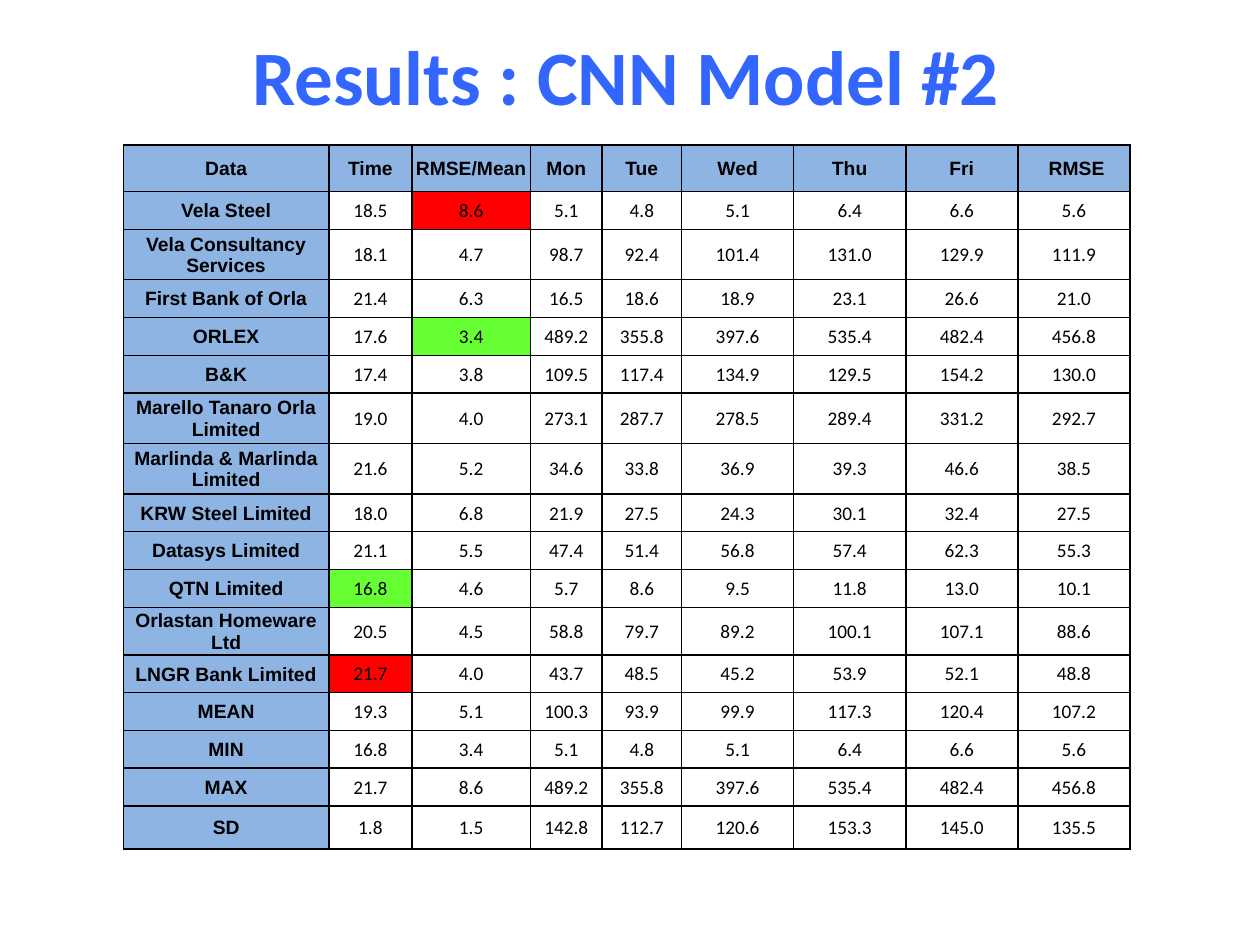
from lxml import etree
from pptx import Presentation
from pptx.dml.color import RGBColor
from pptx.enum.text import MSO_ANCHOR, PP_ALIGN
from pptx.oxml.ns import qn
from pptx.util import Inches, Pt

CENTER = PP_ALIGN.CENTER
MIDDLE = MSO_ANCHOR.MIDDLE
BLACK = RGBColor(0x00, 0x00, 0x00)
TITLE_BLUE = RGBColor(0x33, 0x66, 0xFF)
LABEL_BLUE = RGBColor(0x8E, 0xB4, 0xE3)
WORST_RED = RGBColor(0xFF, 0x00, 0x00)
BEST_GREEN = RGBColor(0x66, 0xFF, 0x33)

TITLE = "Results : CNN Model #2"
HEADER = ["Data", "Time", "RMSE/Mean", "Mon", "Tue", "Wed", "Thu", "Fri", " RMSE"]
STOCKS = [
    ("Vela Steel", 18.5, 8.6, 5.1, 4.8, 5.1, 6.4, 6.6, 5.6),
    ("Vela Consultancy Services", 18.1, 4.7, 98.7, 92.4, 101.4, 131.0, 129.9, 111.9),
    ("First Bank of Orla", 21.4, 6.3, 16.5, 18.6, 18.9, 23.1, 26.6, 21.0),
    ("ORLEX", 17.6, 3.4, 489.2, 355.8, 397.6, 535.4, 482.4, 456.8),
    ("B&K", 17.4, 3.8, 109.5, 117.4, 134.9, 129.5, 154.2, 130.0),
    ("Marello Tanaro Orla Limited", 19.0, 4.0, 273.1, 287.7, 278.5, 289.4, 331.2, 292.7),
    ("Marlinda & Marlinda Limited", 21.6, 5.2, 34.6, 33.8, 36.9, 39.3, 46.6, 38.5),
    ("KRW Steel Limited", 18.0, 6.8, 21.9, 27.5, 24.3, 30.1, 32.4, 27.5),
    ("Datasys Limited", 21.1, 5.5, 47.4, 51.4, 56.8, 57.4, 62.3, 55.3),
    ("QTN Limited", 16.8, 4.6, 5.7, 8.6, 9.5, 11.8, 13.0, 10.1),
    ("Orlastan Homeware Ltd", 20.5, 4.5, 58.8, 79.7, 89.2, 100.1, 107.1, 88.6),
    ("LNGR Bank Limited", 21.7, 4.0, 43.7, 48.5, 45.2, 53.9, 52.1, 48.8),
]
SUMMARY = [
    ("MEAN", 19.3, 5.1, 100.3, 93.9, 99.9, 117.3, 120.4, 107.2),
    ("MIN", 16.8, 3.4, 5.1, 4.8, 5.1, 6.4, 6.6, 5.6),
    ("MAX", 21.7, 8.6, 489.2, 355.8, 397.6, 535.4, 482.4, 456.8),
    ("SD", 1.8, 1.5, 142.8, 112.7, 120.6, 153.3, 145.0, 135.5),
]
RANKED_COLS = (1, 2)
COL_WIDTHS = [1.63, 0.66, 0.94, 0.57, 0.63] + [0.89] * 4
ROW_HEIGHT = 0.3
SPECIAL_HEIGHTS = {0: 0.37, 2: 0.4, 6: 0.4, 7: 0.4, 11: 0.36, 16: 0.34}


def write(tf, text, size=11, font="Calibri", color=BLACK, bold=False):
    p = tf.paragraphs[0]
    p.alignment = CENTER
    r = p.add_run()
    r.text = text
    r.font.size = Pt(size)
    r.font.name = font
    r.font.color.rgb = color
    r.font.bold = bold


def add_borders(cell):
    tc_pr = cell._tc.get_or_add_tcPr()
    for i, side in enumerate(("lnL", "lnR", "lnT", "lnB")):
        ln = etree.Element(qn(f"a:{side}"), w=str(Pt(1)))
        fill = etree.SubElement(ln, qn("a:solidFill"))
        etree.SubElement(fill, qn("a:srgbClr"), val=str(BLACK))
        tc_pr.insert(i, ln)


def cell_color(row, col):
    if row == 0 or col == 0:
        return LABEL_BLUE
    if col in RANKED_COLS and row <= len(STOCKS):
        values = [stock[col] for stock in STOCKS]
        return {max(values): WORST_RED, min(values): BEST_GREEN}.get(values[row - 1])
    return None


prs = Presentation()
prs.slide_width, prs.slide_height = Inches(10), Inches(7.5)
s = prs.slides.add_slide(prs.slide_layouts[6])

title = s.shapes.add_textbox(Inches(0.43), Inches(0.27), Inches(9.08), Inches(0.64))
tf = title.text_frame
tf.word_wrap = True
tf.vertical_anchor = MIDDLE
write(tf, TITLE, size=44, color=TITLE_BLUE, bold=True)

rows = [HEADER] + STOCKS + SUMMARY
heights = [SPECIAL_HEIGHTS.get(i, ROW_HEIGHT) for i in range(len(rows))]
table = s.shapes.add_table(
    len(rows), len(HEADER), Inches(0.98), Inches(1.15),
    Inches(sum(COL_WIDTHS)), Inches(sum(heights)),
).table
table.first_row = False
table.horz_banding = False
for column, width in zip(table.columns, COL_WIDTHS):
    column.width = Inches(width)

for i, values in enumerate(rows):
    table.rows[i].height = Inches(heights[i])
    for j, value in enumerate(values):
        cell = table.cell(i, j)
        cell.vertical_anchor = MIDDLE
        cell.margin_left = cell.margin_right = cell.margin_top = Inches(0.01)
        cell.margin_bottom = 0
        color = cell_color(i, j)
        if color is None:
            cell.fill.background()
        else:
            cell.fill.solid()
            cell.fill.fore_color.rgb = color
        add_borders(cell)
        if i == 0 or j == 0:
            write(cell.text_frame, value, font="Arial", bold=True)
        else:
            write(cell.text_frame, f"{value:.1f}")

prs.save("out.pptx")
